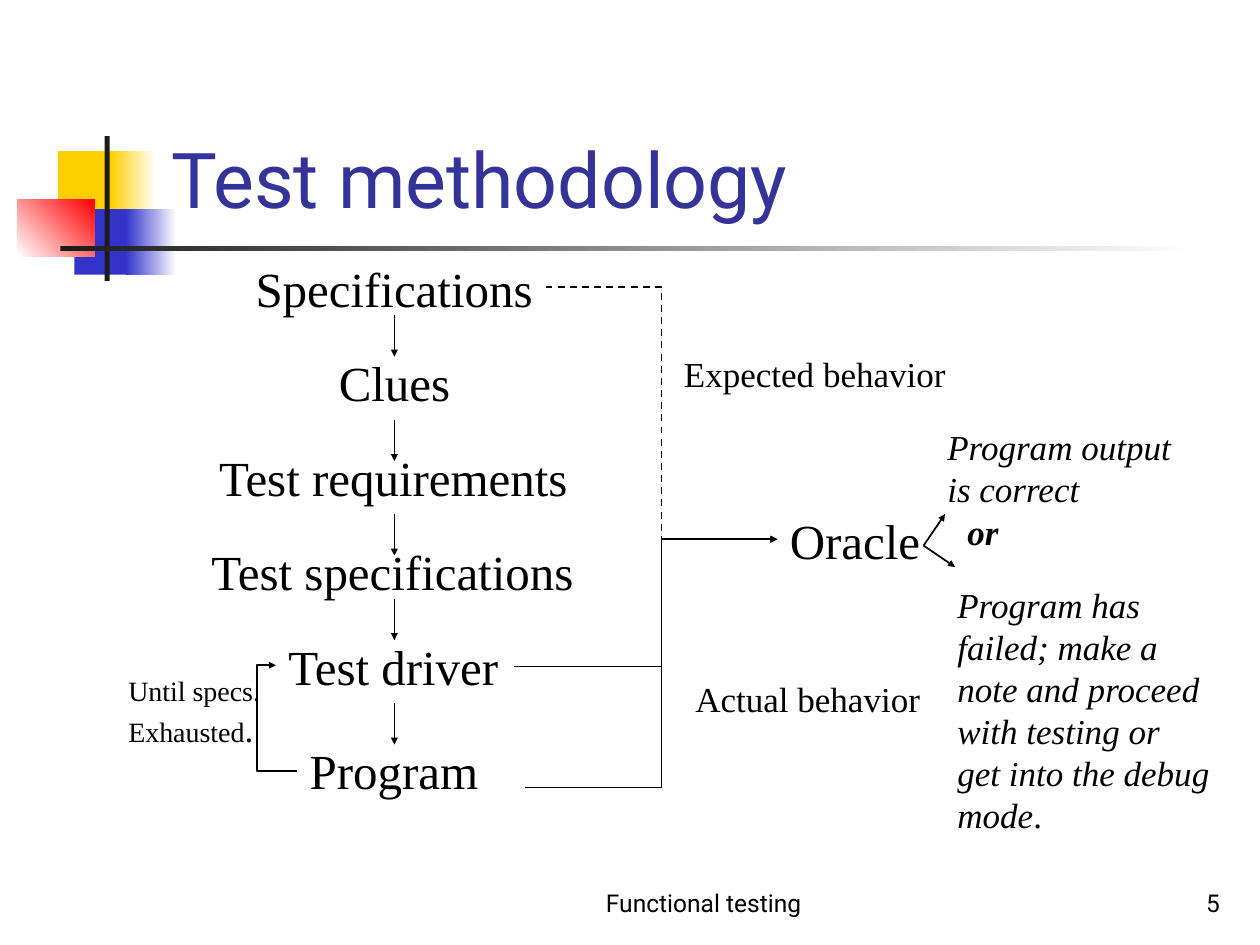
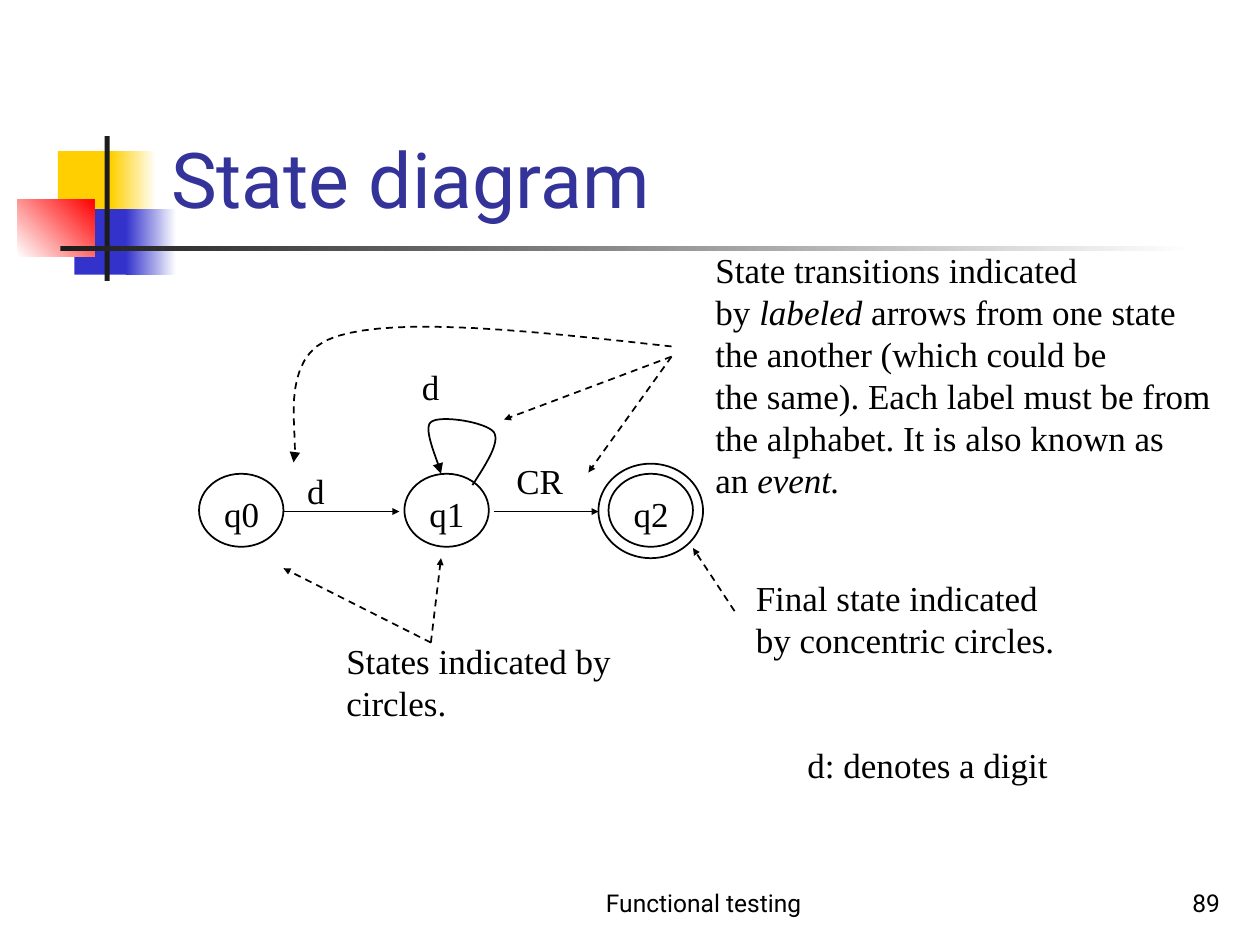
from dataclasses import dataclass
from typing import NamedTuple, Optional

from lxml import etree
from pptx import Presentation
from pptx import util as u
from pptx.dml.color import RGBColor
from pptx.enum import dml as d, shapes as s, text as t
from pptx.oxml import ns

# Shared look
EMU_PER_PX = 9144  # 100 px to the inch
BLACK = RGBColor(0x00, 0x00, 0x00)
WHITE = RGBColor(0xFF, 0xFF, 0xFF)
INK = RGBColor(0x1C, 0x1C, 0x1C)
YELLOW = RGBColor(0xFF, 0xCF, 0x01)
BLUE = RGBColor(0x33, 0x33, 0xCC)
RED = RGBColor(0xFF, 0x00, 0x00)
TITLE_BLUE = RGBColor(0x33, 0x33, 0x99)
SANS, SERIF = "Roboto", "Times New Roman"
FOOTER = "Functional testing"
CURVE_STEPS = 16


class Point(NamedTuple):
    x: int
    y: int


class Box(NamedTuple):
    left: int
    top: int
    width: int
    height: int


class Band(NamedTuple):
    box: Box
    start: RGBColor
    end: Optional[RGBColor] = None
    angle: int = 0


@dataclass
class Label:
    """Text between asterisks has the opposite slant, or the accent size."""
    box: Box
    text: str
    size: int = 20
    font: str = SERIF
    color: RGBColor = BLACK
    bold: bool = False
    italic: bool = False
    accent_size: Optional[int] = None
    align: t.PP_ALIGN = t.PP_ALIGN.LEFT
    anchor: t.MSO_ANCHOR = t.MSO_ANCHOR.TOP
    wrap: bool = False


@dataclass
class Link:
    begin: Point
    end: Point
    bend: Optional[float] = None  # place of the elbow, as a share of the width
    corner: bool = False
    dashed: bool = False
    arrow: Optional[str] = "sm"


@dataclass
class Curve:
    points: list[Point]  # a start, then three Bezier points for each piece
    dashed: bool = False


BANDS = [
    Band(Box(46, 120, 48, 52), YELLOW),
    Band(Box(88, 120, 36, 52), YELLOW, WHITE),
    Band(Box(59, 166, 46, 52), BLUE),
    Band(Box(100, 166, 40, 52), BLUE, WHITE),
    Band(Box(14, 158, 61, 46), WHITE, RED, 45),
    Band(Box(83, 108, 4, 115), INK),
    Band(Box(48, 195, 900, 4), INK, WHITE),
]


def px(length: float) -> u.Emu:
    return u.Emu(round(length * EMU_PER_PX))


def emu(lengths) -> list[u.Emu]:
    return [px(length) for length in lengths]


# Drawing functions
def add_band(slide, band: Band) -> None:
    shape = slide.shapes.add_shape(s.MSO_SHAPE.RECTANGLE, *emu(band.box))
    shape.shadow.inherit = False
    shape.line.fill.background()
    if band.end is None:
        shape.fill.solid()
        shape.fill.fore_color.rgb = band.start
        return
    shape.fill.gradient()
    shape.fill.gradient_angle = band.angle
    stops = zip(shape.fill.gradient_stops, (band.start, band.end))
    for position, (stop, color) in enumerate(stops):
        stop.position = position
        stop.color.rgb = color


def add_label(slide, label: Label) -> None:
    frame = slide.shapes.add_textbox(*emu(label.box)).text_frame
    frame.word_wrap = label.wrap
    frame.vertical_anchor = label.anchor
    if not label.wrap:
        frame.auto_size = t.MSO_AUTO_SIZE.SHAPE_TO_FIT_TEXT
        frame.margin_right = 0  # spare room, so that tight boxes keep their lines
    frame.text = label.text.replace("*", "")
    for paragraph, line in zip(frame.paragraphs, label.text.split("\n")):
        paragraph.alignment = label.align
        first, *others = line.split("*")
        paragraph.runs[0].text = first
        for piece in filter(None, others):
            paragraph.add_run().text = piece
        for index, run in enumerate(paragraph.runs):
            accent = index % 2 == 1
            resized = accent and label.accent_size
            run.font.name = label.font
            run.font.size = u.Pt(label.accent_size if resized else label.size)
            run.font.color.rgb = label.color
            run.font.bold = label.bold
            run.font.italic = label.italic != (accent and not resized)


def style_line(shape, dashed: bool = False, arrow: Optional[str] = None) -> None:
    shape.line.color.rgb = BLACK
    shape.line.width = u.Pt(1)
    if dashed:
        shape.line.dash_style = d.MSO_LINE.DASH
    if arrow:
        line = shape.element.spPr.find(ns.qn("a:ln"))
        etree.SubElement(line, ns.qn("a:tailEnd"), type="triangle", w=arrow, len=arrow)


def add_link(slide, link: Link) -> None:
    bent = link.corner or link.bend is not None
    kind = s.MSO_CONNECTOR.ELBOW if bent else s.MSO_CONNECTOR.STRAIGHT
    connector = slide.shapes.add_connector(kind, *emu(link.begin + link.end))
    style_line(connector, link.dashed, link.arrow)
    properties = connector.element.spPr
    etree.SubElement(properties, ns.qn("a:effectLst"))
    if not bent:
        return
    geometry = properties.find(ns.qn("a:prstGeom"))
    if link.corner:
        geometry.set("prst", "bentConnector2")
    else:
        guides = geometry.find(ns.qn("a:avLst"))
        etree.SubElement(guides, ns.qn("a:gd"), name="adj1",
                         fmla=f"val {round(link.bend * 100000)}")
    # A double flip is the same as a half turn
    frame = properties.find(ns.qn("a:xfrm"))
    if frame.get("flipH") and frame.get("flipV"):
        del frame.attrib["flipH"], frame.attrib["flipV"]
        frame.set("rot", str(180 * 60000))


def bezier(share: float, *values: int) -> float:
    rest = 1 - share
    weights = (rest ** 3, 3 * rest ** 2 * share, 3 * rest * share ** 2, share ** 3)
    return sum(weight * value for weight, value in zip(weights, values))


def add_curve(slide, curve: Curve) -> None:
    builder = slide.shapes.build_freeform(*emu(curve.points[0]))
    for start in range(0, len(curve.points) - 1, 3):
        xs, ys = zip(*curve.points[start:start + 4])
        shares = [step / CURVE_STEPS for step in range(1, CURVE_STEPS + 1)]
        builder.add_line_segments(
            [emu((bezier(share, *xs), bezier(share, *ys))) for share in shares],
            close=False)
    shape = builder.convert_to_shape()
    shape.shadow.inherit = False
    shape.fill.background()
    style_line(shape, curve.dashed, "med")


def add_circle(slide, box: Box) -> None:
    shape = slide.shapes.add_shape(s.MSO_SHAPE.OVAL, *emu(box))
    shape.shadow.inherit = False
    shape.fill.background()
    style_line(shape)


def add_base(presentation, title: str, number: int):
    slide = presentation.slides.add_slide(presentation.slide_layouts[6])
    for band in BANDS:
        add_band(slide, band)
    bottom = dict(font=SANS, anchor=t.MSO_ANCHOR.BOTTOM, wrap=True)
    add_label(slide, Label(Box(126, 23, 852, 160), title, 44, color=TITLE_BLUE, **bottom))
    add_label(slide, Label(Box(400, 683, 317, 50), FOOTER, 14,
                           align=t.PP_ALIGN.CENTER, **bottom))
    add_label(slide, Label(Box(770, 683, 208, 50), str(number), 14,
                           align=t.PP_ALIGN.RIGHT, **bottom))
    return slide


# Slide: test methodology
def build_methodology(presentation) -> None:
    slide = add_base(presentation, "Test methodology", 5)
    center = 313
    steps = [("Specifications", 200, 240), ("Clues", 275, 108),
             ("Test requirements", 350, 299), ("Test specifications", 425, 310),
             ("Test driver", 500, 189), ("Program", 583, 154)]
    for name, top, width in steps:
        add_label(slide, Label(Box(center - width // 2, top, width, 57), name, 28))
    for top in (250, 333, 408, 475, 558):
        add_link(slide, Link(Point(center, top), Point(center, top + 33)))

    fork = Point(733, 433)
    links = [
        Link(Point(433, 228), Point(617, 428), bend=0.5, dashed=True),
        Link(Point(417, 625), Point(617, 428), bend=0.54),
        Link(Point(408, 529), Point(525, 433), corner=True, arrow=None),
        Link(Point(236, 612), Point(219, 528), bend=1.87),
        Link(fork, Point(750, 408)),
        Link(fork, Point(758, 450)),
    ]
    for link in links:
        add_link(slide, link)

    failure = ("Program has\nfailed; make a\nnote and proceed\n"
               "with testing or\nget into the debug\nmode*.*")
    labels = [
        Label(Box(617, 400, 123, 57), "Oracle", 28),
        Label(Box(533, 275, 228, 44), "Expected behavior"),
        Label(Box(542, 533, 198, 44), "Actual behavior"),
        Label(Box(742, 333, 205, 77), "Program output\nis correct", italic=True),
        Label(Box(758, 400, 45, 44), "or", bold=True, italic=True),
        Label(Box(750, 458, 220, 210), failure, italic=True),
        Label(Box(92, 530, 124, 70), "Until specs.\nExhausted*.*", 16, accent_size=20),
    ]
    for label in labels:
        add_label(slide, label)


# Slide: state diagram
def build_state_diagram(presentation) -> None:
    slide = add_base(presentation, "State diagram", 89)
    for name, left in (("q0", 158), ("q1", 321), ("q2", 483)):
        add_circle(slide, Box(left, 376, 67, 58))
        add_label(slide, Label(Box(left + 10, 386, 48, 44), name))
    add_circle(slide, Box(475, 368, 83, 75))

    # Transitions, then pointers from the remarks
    states_remark, transitions_remark = Point(342, 510), Point(533, 283)
    links = [
        Link(Point(225, 406), Point(317, 406)),
        Link(Point(392, 406), Point(475, 406)),
        Link(Point(583, 485), Point(550, 435), dashed=True),
        Link(states_remark, Point(225, 451), dashed=True),
        Link(states_remark, Point(350, 443), dashed=True),
        Link(transitions_remark, Point(467, 375), dashed=True),
        Link(transitions_remark, Point(400, 333), dashed=True),
    ]
    for link in links:
        add_link(slide, link)
    add_curve(slide, Curve([
        Point(375, 385), Point(386, 368), Point(397, 351), Point(392, 343),
        Point(386, 335), Point(349, 329), Point(342, 335),
        Point(335, 340), Point(349, 369), Point(350, 376)]))
    add_curve(slide, Curve([
        Point(533, 275), Point(425, 263), Point(317, 251), Point(267, 267),
        Point(217, 282), Point(239, 350), Point(233, 367)], dashed=True))

    transitions = ("State transitions indicated\nby *labeled* arrows from one state\n"
                   "the another (which could be\nthe same). Each label must be from\n"
                   "the alphabet. It is also known as\nan *event.*")
    labels = [
        Label(Box(234, 368, 34, 44), "d"),
        Label(Box(325, 285, 34, 44), "d"),
        Label(Box(400, 360, 57, 44), "CR"),
        Label(Box(590, 453, 257, 77), "Final state indicated\nby concentric circles."),
        Label(Box(265, 503, 237, 77), "States indicated by\ncircles."),
        Label(Box(558, 192, 420, 210), transitions),
        Label(Box(631, 585, 211, 44), "d: denotes a digit"),
    ]
    for label in labels:
        add_label(slide, label)


def main() -> None:
    presentation = Presentation()
    presentation.slide_width, presentation.slide_height = px(1000), px(750)
    build_methodology(presentation)
    build_state_diagram(presentation)
    presentation.save("out.pptx")


if __name__ == "__main__":
    main()
